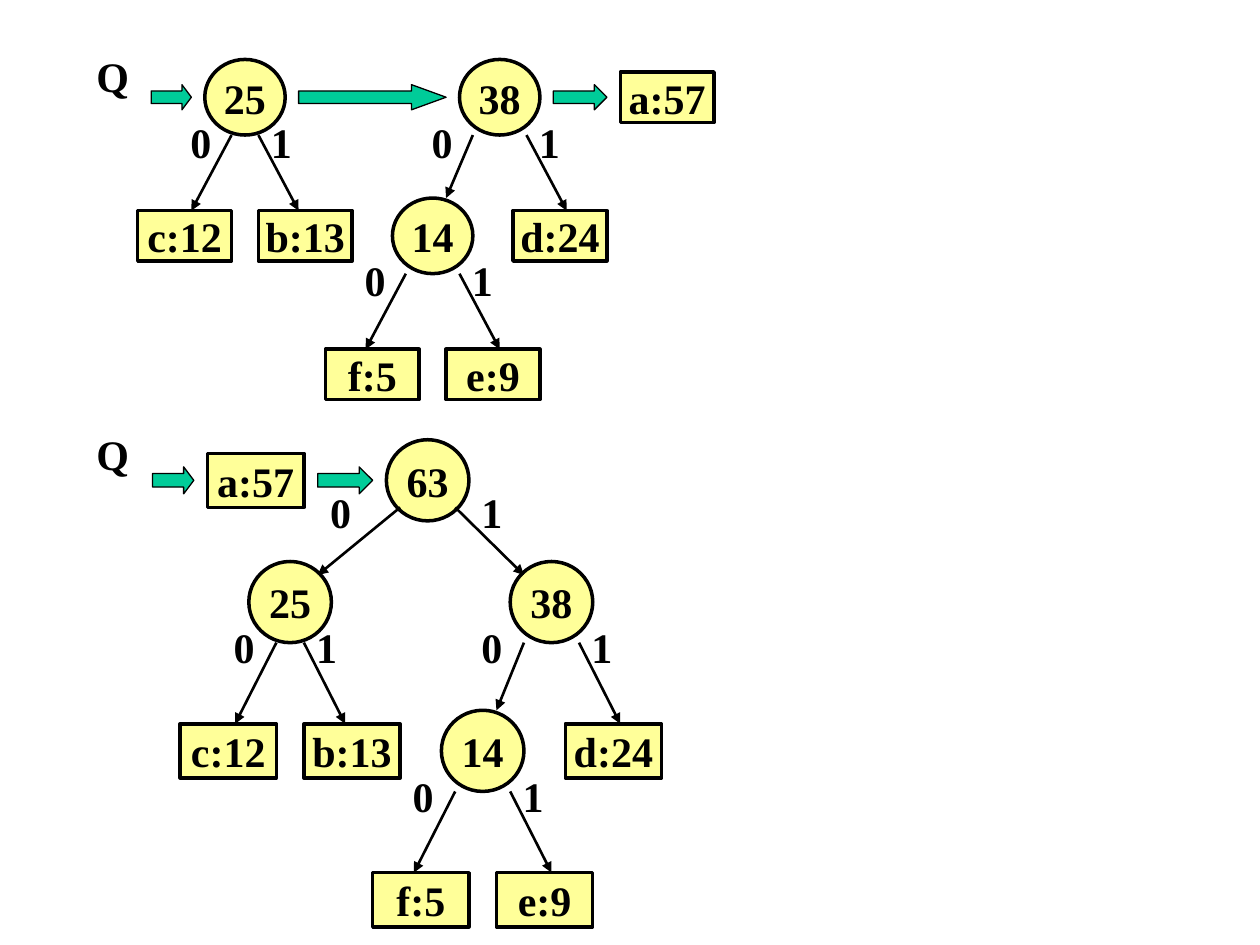
from lxml import etree
from pptx import Presentation
from pptx.dml.color import RGBColor
from pptx.enum.shapes import MSO_CONNECTOR, MSO_SHAPE
from pptx.enum.text import MSO_ANCHOR, PP_ALIGN
from pptx.oxml.ns import qn
from pptx.util import Pt

RECTANGLE, OVAL, ARROW = MSO_SHAPE.RECTANGLE, MSO_SHAPE.OVAL, MSO_SHAPE.RIGHT_ARROW
STRAIGHT = MSO_CONNECTOR.STRAIGHT
CENTER, LEFT = PP_ALIGN.CENTER, PP_ALIGN.LEFT
MIDDLE = MSO_ANCHOR.MIDDLE
BLACK = RGBColor(0x00, 0x00, 0x00)
YELLOW = RGBColor(0xFF, 0xFF, 0x99)
GREEN = RGBColor(0x00, 0xCC, 0x99)
FONT = "Times New Roman"


class QueueDrawing:
    """Draws one queue state; columns and rows are grid units from the first circle's top centre."""

    def __init__(self, slide, origin, unit):
        self.shapes = slide.shapes.add_group_shape().shapes
        self.origin_x, self.origin_y = origin
        self.unit_x, self.unit_y = unit

    def place(self, column, row):
        return (Pt(self.origin_x + column * self.unit_x),
                Pt(self.origin_y + row * self.unit_y))

    def set_text(self, box, text, alignment):
        frame = box.text_frame
        frame.text = text
        frame.word_wrap = False
        frame.vertical_anchor = MIDDLE
        para = frame.paragraphs[0]
        para.alignment = alignment
        font = para.runs[0].font
        font.name, font.size, font.bold = FONT, Pt(24), True
        font.color.rgb = BLACK

    def shape(self, kind, column, row, columns, rows, fill, weight):
        shape = self.shapes.add_shape(kind, *self.place(column, row),
                                      Pt(columns * self.unit_x), Pt(rows * self.unit_y))
        shape.shadow.inherit = False
        shape.fill.solid()
        shape.fill.fore_color.rgb = fill
        shape.line.color.rgb = BLACK
        shape.line.width = Pt(weight)
        return shape

    def circle(self, text, center, row):
        self.set_text(self.shape(OVAL, center - 3, row, 6, 6, YELLOW, 2), text, CENTER)

    def leaf(self, text, center, row):
        self.set_text(self.shape(RECTANGLE, center - 3.5, row, 7, 4, YELLOW, 2), text, CENTER)

    def arrow(self, column, columns):
        arrow = self.shape(ARROW, column, 2, columns, 2, GREEN, 0.75)
        arrow.adjustments[0] = 0.5
        arrow.adjustments[1] = columns / 8

    def edge(self, start, end):
        edge = self.shapes.add_connector(STRAIGHT, *self.place(*start), *self.place(*end))
        edge.line.color.rgb = BLACK
        edge.line.width = Pt(1.5)
        properties = edge._element.spPr
        etree.SubElement(properties.find(qn("a:ln")), qn("a:tailEnd"), type="triangle")
        etree.SubElement(properties, qn("a:effectLst"))

    def label(self, text, column, row):
        box = self.shapes.add_textbox(*self.place(column, row), Pt(28.8), Pt(41))
        self.set_text(box, text, LEFT)

    def queue_name(self, top):
        box = self.shapes.add_textbox(Pt(48), Pt(top), Pt(36), Pt(50.4))
        self.set_text(box, "Q", LEFT)

    def bits(self, center, row, left, right):
        self.label("0", center + left, row)
        self.label("1", center + right, row)

    def parent(self, text, center, row, left, right, spread):
        """Circle with two children; a leaf name is drawn, None leaves room for a circle."""
        self.circle(text, center, row)
        bottom = row + 6
        for side, name in ((-1, left), (1, right)):
            start = (center + side * spread, bottom)
            if name is None:
                self.edge(start, (center + side * 4, bottom + 5))
            else:
                self.edge(start, (center + side * (spread + 3), bottom + 6))
                self.leaf(name, center + side * 4.5, bottom + 6)
        self.bits(center, bottom - 2.33, -4 - spread, spread)

    def tree_25(self, center, row):
        self.parent("25", center, row, "c:12", "b:13", 1)

    def tree_38(self, center, row):
        self.parent("38", center, row, None, "d:24", 2)
        self.parent("14", center - 5, row + 11, "f:5", "e:9", 2)


def main():
    deck = Presentation()
    deck.slide_width, deck.slide_height = Pt(720), Pt(540)
    slide = deck.slides.add_slide(deck.slide_layouts[6])

    # Queue before the merge: two trees and a leaf
    before = QueueDrawing(slide, (140, 34), (7.66, 7.2))
    before.queue_name(18)
    before.tree_25(0, 0)
    before.tree_38(19, 0)
    before.leaf("a:57", 31.5, 1)
    for column, columns in ((-7, 3), (4, 11), (23, 4)):
        before.arrow(column, columns)

    # Queue after the merge: both trees under the new root
    after = QueueDrawing(slide, (244.4, 251.3), (7.86, 7.73))
    after.queue_name(234)
    after.leaf("a:57", -12.5, 1)
    after.circle("63", 0, 0)
    after.tree_25(-10, 9)
    after.tree_38(9, 9)
    after.edge((-2, 5), (-8, 10))
    after.edge((2, 5), (7, 10))
    after.bits(0, 2.7, -8, 3)
    for column, columns in ((-20, 3), (-8, 4)):
        after.arrow(column, columns)

    deck.save("out.pptx")


if __name__ == "__main__":
    main()
